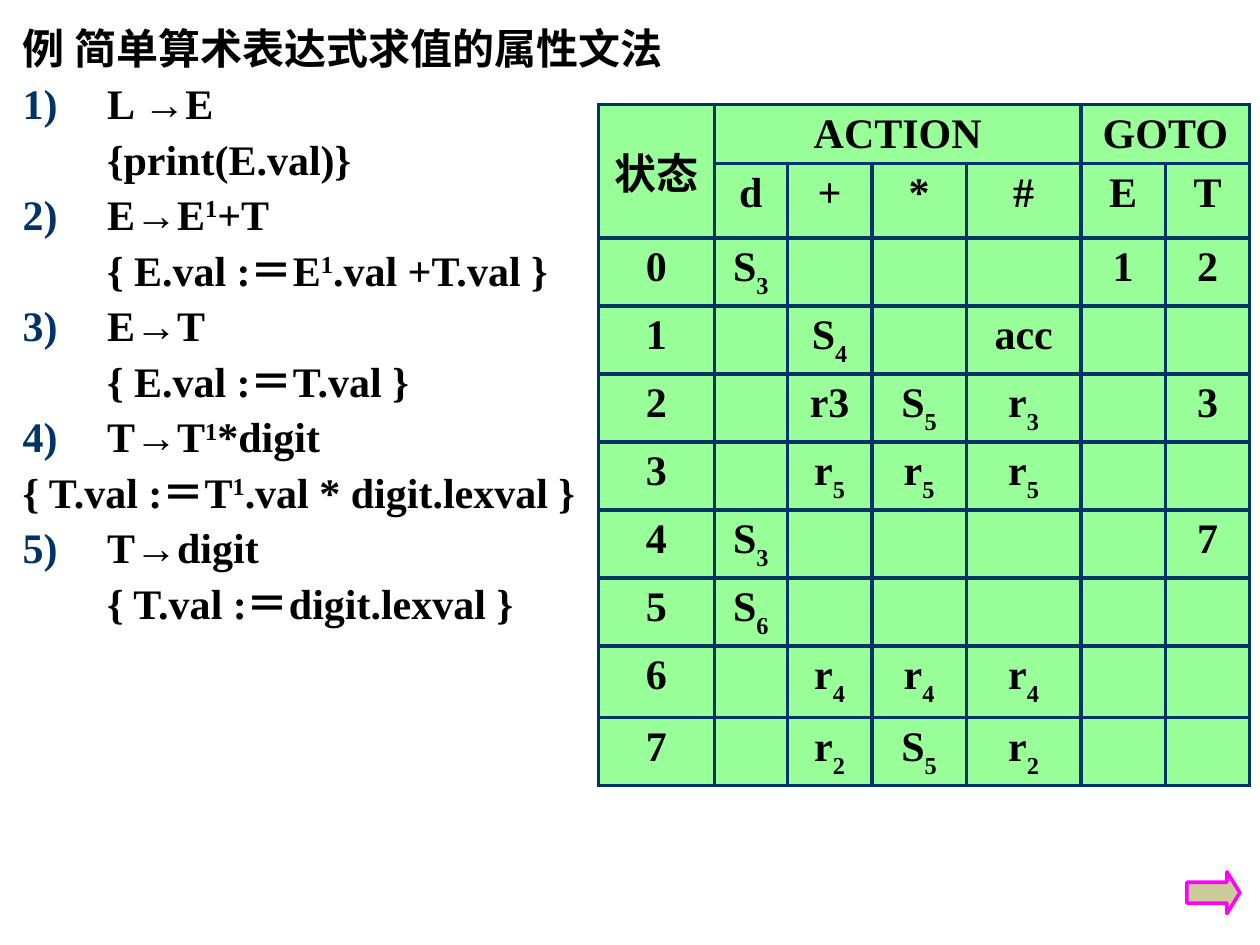
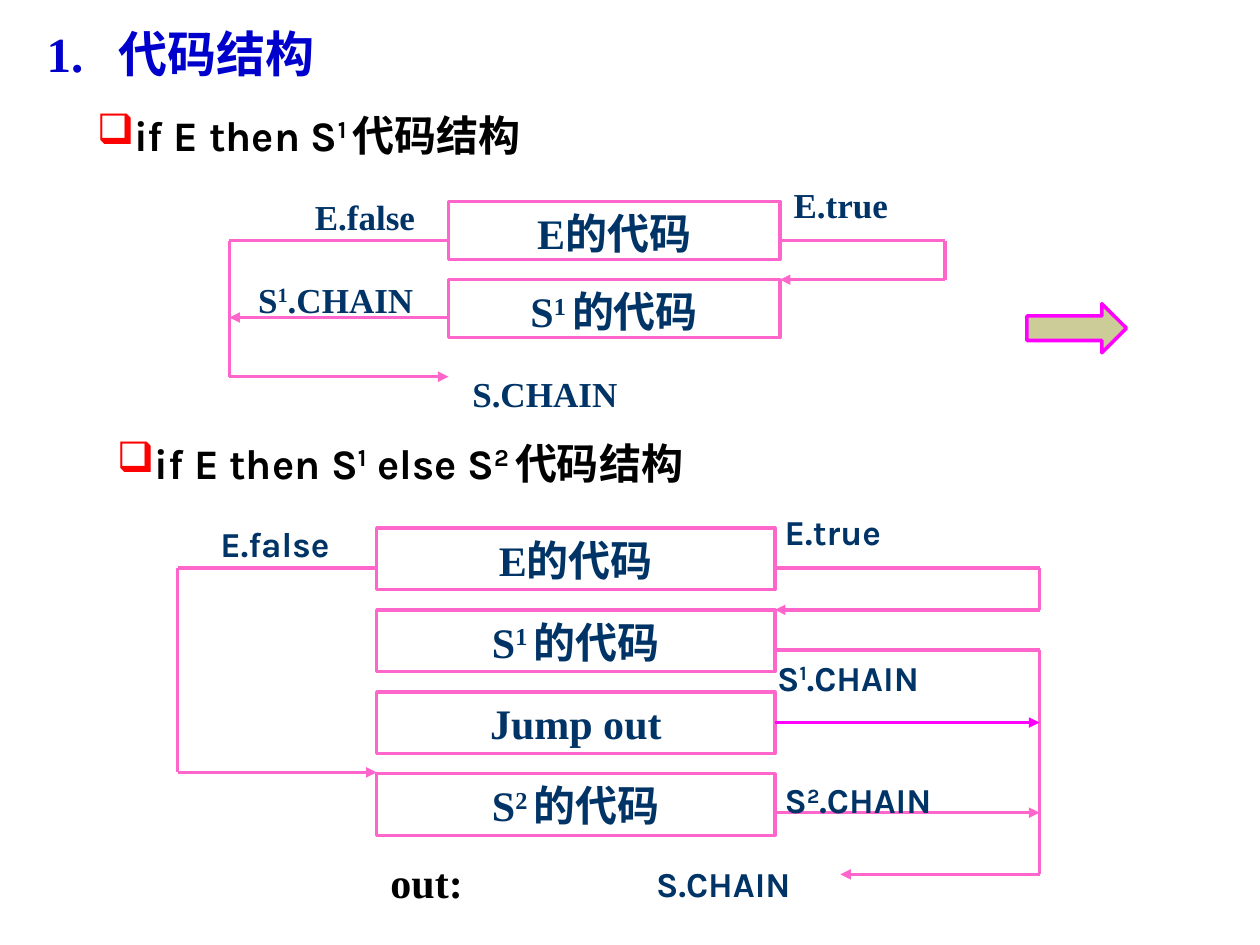
from itertools import pairwise

from lxml.etree import SubElement
from pptx import Presentation
from pptx.dml.color import RGBColor
from pptx.enum.shapes import MSO_CONNECTOR as Connector, MSO_SHAPE as Shape
from pptx.enum.text import MSO_ANCHOR as Anchor, MSO_AUTO_SIZE as AutoSize, PP_ALIGN as Align
from pptx.oxml.ns import qn
from pptx.util import Inches, Pt

SERIF, SANS = "Times New Roman", "Karla"
BLACK, WHITE, NAVY, BLUE, RED = "000000", "FFFFFF", "003366", "0000CC", "FF0000"
PINK, MAGENTA, KHAKI, GREEN = "FF66CC", "FF00FF", "CCCC99", "99FF99"
BASELINES = {"^": "30000", "_": "-30000"}

RULES = [
    ("L →E", "{print(E.val)}"),
    ("E→E|^1|+T", "{ E.val :＝E|^1|.val +T.val }"),
    ("E→T", "{ E.val :＝T.val }"),
    ("T→T|^1|*digit", "{ T.val :＝T|^1|.val * digit.lexval }"),
    ("T→digit", "{ T.val :＝digit.lexval }"),
]
FLUSH_RULE = 4

PARSE_TABLE = [
    ["状态", "ACTION", "", "", "", "GOTO", ""],
    ["", "d", "+", "*", "#", "E", "T"],
    ["0", "S|_3", "", "", "", "1", "2"],
    ["1", "", "S|_4", "", "acc", "", ""],
    ["2", "", "r3", "S|_5", "r|_3", "", "3"],
    ["3", "", "r|_5", "r|_5", "r|_5", "", ""],
    ["4", "S|_3", "", "", "", "", "7"],
    ["5", "S|_6", "", "", "", "", ""],
    ["6", "", "r|_4", "r|_4", "r|_4", "", ""],
    ["7", "", "r|_2", "S|_5", "r|_2", "", ""],
]
STATE_COLUMNS = [0.92, 0.58, 0.67, 0.75, 0.91, 0.67, 0.67]
STATE_ROWS = [0.47, 0.59, 0.54, 0.52, 0.54, 0.54, 0.54, 0.54, 0.57, 0.54]


def rgb(value):
    return RGBColor.from_string(value)


def write(paragraph, text, size=24, font=SERIF, color=BLACK, align=Align.LEFT,
          margin=0, indent=0, number=None, bullet=None, bullet_color=NAVY,
          spacing=None, before=0):
    """Fill a paragraph; '|' splits runs, '^' raises a run and '_' lowers it."""
    props = paragraph._p.get_or_add_pPr()
    props.set("marL", str(Inches(margin)))
    props.set("indent", str(Inches(indent)))
    if number or bullet:
        tint = SubElement(props, qn("a:buClr"))
        SubElement(tint, qn("a:srgbClr"), val=bullet_color)
    if number:
        SubElement(props, qn("a:buAutoNum"), type="arabicParenR", startAt=str(number))
    elif bullet:
        SubElement(props, qn("a:buChar"), char=bullet)
    else:
        SubElement(props, qn("a:buNone"))
    paragraph.alignment = align
    paragraph.space_before = Pt(before)
    if spacing:
        paragraph.line_spacing = spacing
    for piece in text.split("|"):
        baseline = BASELINES.get(piece[:1])
        run = paragraph.add_run()
        run.text = piece[1:] if baseline else piece
        run.font.size, run.font.name, run.font.bold = Pt(size), font, True
        run.font.color.rgb = rgb(color)
        if baseline:
            run._r.get_or_add_rPr().set("baseline", baseline)


def place(shape, left, top, width, height):
    shape.left, shape.top = Inches(left), Inches(top)
    shape.width, shape.height = Inches(width), Inches(height)


class Deck:
    def __init__(self):
        self.prs = Presentation()
        self.prs.slide_width, self.prs.slide_height = Inches(10), Inches(7.5)
        self.slide = None

    def new_slide(self, layout):
        self.slide = self.prs.slides.add_slide(self.prs.slide_layouts[layout])

    def title(self, text, *area):
        heading = self.slide.shapes.title
        place(heading, *area)
        heading.text_frame.auto_size = AutoSize.NONE
        heading.text_frame.vertical_anchor = Anchor.MIDDLE
        write(heading.text_frame.paragraphs[0], text, size=28, color=BLUE,
              margin=0.67, indent=-0.57, spacing=0.85)

    def grammar(self, heading, rules, *area):
        """Put the heading and the numbered rules in the body placeholder."""
        title = self.slide.shapes.title
        title._element.getparent().remove(title._element)
        body = self.slide.placeholders[1]
        place(body, *area)
        frame = body.text_frame
        frame.auto_size = AutoSize.NONE
        write(frame.paragraphs[0], heading, spacing=0.9)
        for number, (production, action) in enumerate(rules, 1):
            write(frame.add_paragraph(), production, margin=0.67, indent=-0.67,
                  number=number, spacing=0.9, before=5.8)
            write(frame.add_paragraph(), action, spacing=0.9, before=5.8,
                  margin=0 if number == FLUSH_RULE else 0.67)

    def label(self, text, left, top, width, **style):
        box = self.slide.shapes.add_textbox(
            Inches(left), Inches(top), Inches(width), Inches(0.5))
        box.text_frame.word_wrap = True
        write(box.text_frame.paragraphs[0], text, **style)

    def shape(self, kind, fill, line, *area):
        shape = self.slide.shapes.add_shape(kind, *map(Inches, area))
        shape.shadow.inherit = False
        shape.fill.solid()
        shape.fill.fore_color.rgb = rgb(fill)
        shape.line.color.rgb = rgb(line)
        shape.line.width = Pt(2)
        return shape

    def code_box(self, text, *area):
        box = self.shape(Shape.RECTANGLE, WHITE, PINK, *area)
        box.text_frame.vertical_anchor = Anchor.TOP
        write(box.text_frame.paragraphs[0], text, color=NAVY, align=Align.CENTER)
        return box

    def next_arrow(self, *area, head=0.5):
        arrow = self.shape(Shape.RIGHT_ARROW, KHAKI, MAGENTA, *area)
        arrow.adjustments[0], arrow.adjustments[1] = 0.5, head

    def route(self, *points, color=PINK, arrow=True):
        """Join the points with straight lines, the last one with an arrowhead."""
        for start, end in pairwise(points):
            line = self.slide.shapes.add_connector(
                Connector.STRAIGHT, *map(Inches, start + end))
            line.line.color.rgb = rgb(color)
            line.line.width = Pt(2)
            SubElement(line._element.spPr, qn("a:effectLst"))
        if arrow:
            SubElement(line.line._get_or_add_ln(), qn("a:tailEnd"), type="triangle")
        return line

    def table(self, rows, widths, heights, left, top):
        grid = self.slide.shapes.add_table(
            len(rows), len(widths), Inches(left), Inches(top),
            Inches(sum(widths)), Inches(sum(heights))).table
        grid.first_row = grid.horz_banding = False
        for column, width in zip(grid.columns, widths):
            column.width = Inches(width)
        for row, height, texts in zip(grid.rows, heights, rows):
            row.height = Inches(height)
            for cell, text in zip(row.cells, texts):
                self.cell(cell, text)
        return grid

    def cell(self, cell, text):
        props = cell._tc.get_or_add_tcPr()
        for side in ("lnL", "lnR", "lnT", "lnB"):
            border = SubElement(props, qn(f"a:{side}"), w=str(Pt(2.25)))
            fill = SubElement(border, qn("a:solidFill"))
            SubElement(fill, qn("a:srgbClr"), val=NAVY)
        cell.fill.solid()
        cell.fill.fore_color.rgb = rgb(GREEN)
        if text:
            write(cell.text_frame.paragraphs[0], text, align=Align.CENTER)


def grammar_slide(deck):
    deck.new_slide(1)
    deck.grammar("例 简单算术表达式求值的属性文法", RULES, 0.08, 0.17, 5.58, 4.67)
    states = deck.table(PARSE_TABLE, STATE_COLUMNS, STATE_ROWS, 4.75, 0.83)
    states.cell(0, 0).merge(states.cell(1, 0))
    states.cell(0, 0).vertical_anchor = Anchor.MIDDLE
    states.cell(0, 1).merge(states.cell(0, 4))
    states.cell(0, 5).merge(states.cell(0, 6))
    deck.next_arrow(9.42, 6.92, 0.42, 0.33, head=0.31)


def if_then(deck):
    heading = dict(font=SANS, bullet="❑", bullet_color=RED)
    deck.label("if E then S|^1 |代码结构", 0.67, 0.82, 3.9, **heading)
    left, right, false_x, true_x = 3.56, 6.19, 1.82, 7.5
    for row, text in enumerate(["E的代码", "S|^1 |的代码"]):
        deck.code_box(text, left, 1.6 + 0.62 * row, right - left, 0.46)
    deck.route((right, 1.91), (true_x, 1.91), (true_x, 2.22), (right, 2.22))
    deck.route((left, 1.91), (false_x, 1.91), (false_x, 2.99), (left, 2.99))
    deck.route((left, 2.52), (false_x, 2.52))
    for text, x, y, width in [
        ("E.false", 2.4, 1.5, 1.22),
        ("E.true", 6.2, 1.41, 1.11),
        ("S|^1|.CHAIN", 1.95, 2.16, 1.83),
        ("S.CHAIN", 3.65, 2.91, 2.65),
    ]:
        deck.label(text, x, y, width, size=20, color=NAVY)


def if_then_else(deck):
    heading = dict(font=SANS, bullet="❑", bullet_color=RED)
    deck.label("if E then S|^1| else S|^2 |代码结构", 0.83, 3.42, 5, **heading)
    left, right, false_x, exit_x = 2.99, 6.15, 1.41, 8.25
    codes = ["E的代码", "S|^1 |的代码", "Jump out", "S|^2 |的代码"]
    boxes = [deck.code_box(text, left, 4.19 + 0.65 * row, right - left, 0.49)
             for row, text in enumerate(codes)]
    deck.route((left, 4.51), (false_x, 4.51), (false_x, 6.13), (left, 6.13))
    deck.route((right, 4.51), (exit_x, 4.51), (exit_x, 4.84), (right, 4.84))
    deck.route((right, 5.16), (exit_x, 5.16), (exit_x, 6.94), (6.67, 6.94))
    deck.route((right, 6.45), (exit_x, 6.45))
    jump_y = (boxes[2].top + boxes[2].height / 2) / Inches(1)
    jump = deck.route((right, jump_y), (exit_x, jump_y), color=MAGENTA)
    jump.begin_connect(boxes[2], 3)
    for text, x, y, width in [
        ("S.CHAIN", 5.11, 6.8, 1.7),
        ("E.false", 1.65, 4.1, 1.33),
        ("E.true", 6.13, 4, 1.27),
        ("S|^1|.CHAIN", 6.07, 5.16, 1.83),
        ("S|^2|.CHAIN", 6.13, 6.13, 1.94),
    ]:
        deck.label(text, x, y, width, size=20, font=SANS, color=NAVY)
    deck.label("out:", 3, 6.75, 0.92)


def code_structure_slide(deck):
    deck.new_slide(5)
    deck.title("1.\t代码结构", 0.17, 0.25, 2.5, 0.42)
    if_then(deck)
    if_then_else(deck)
    deck.next_arrow(8.15, 2.41, 0.79, 0.39)


def main():
    deck = Deck()
    grammar_slide(deck)
    code_structure_slide(deck)
    deck.prs.save("out.pptx")


if __name__ == "__main__":
    main()
